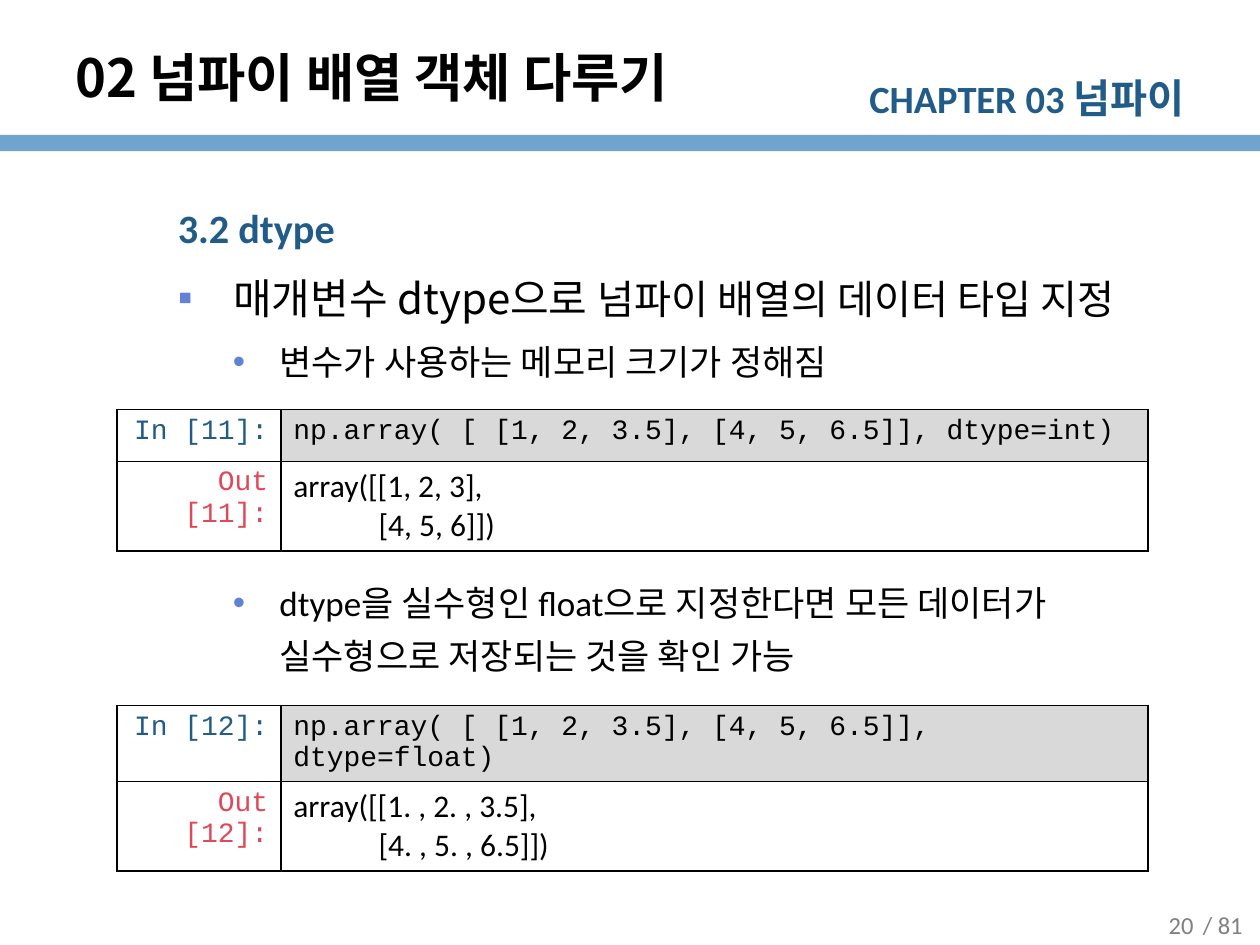
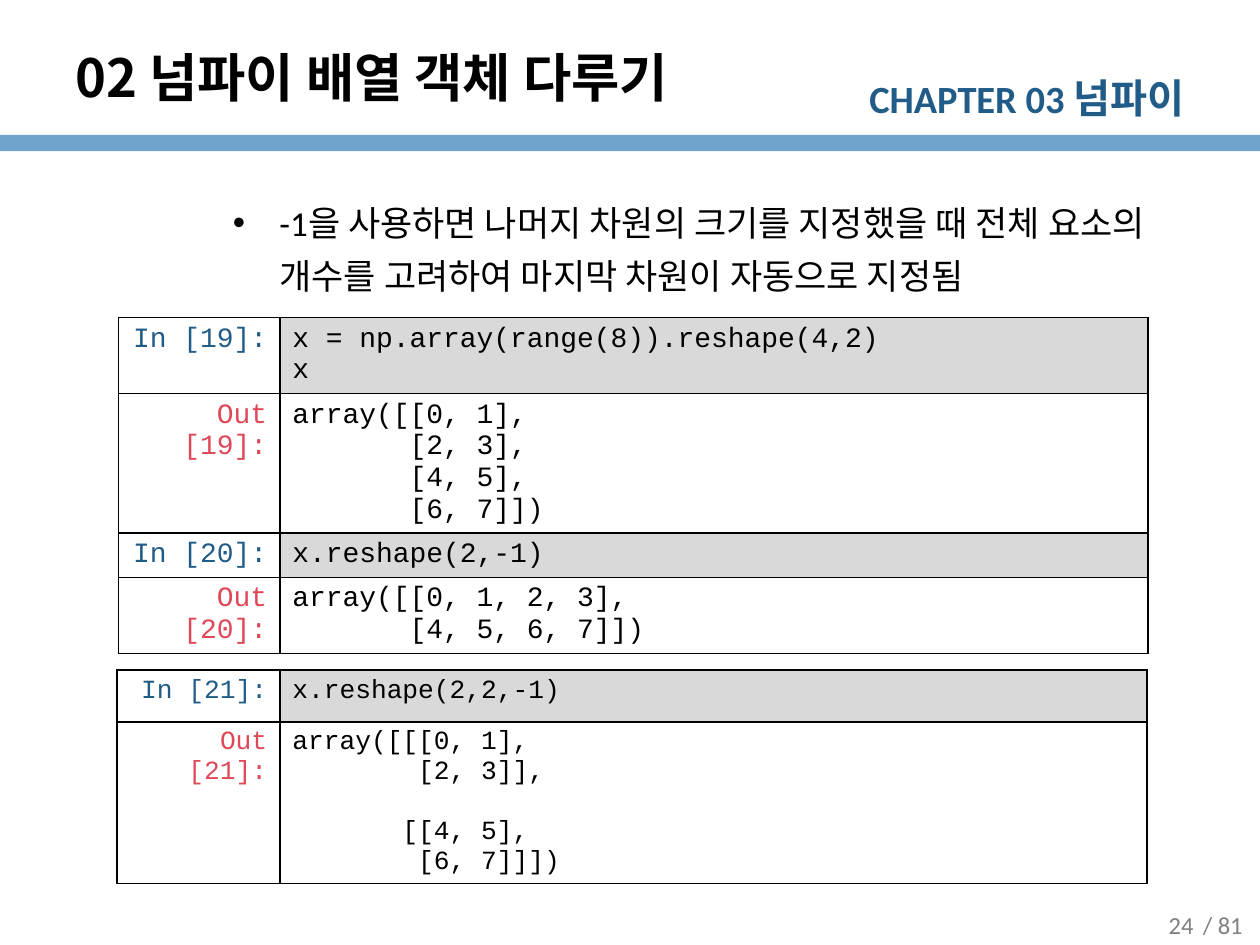
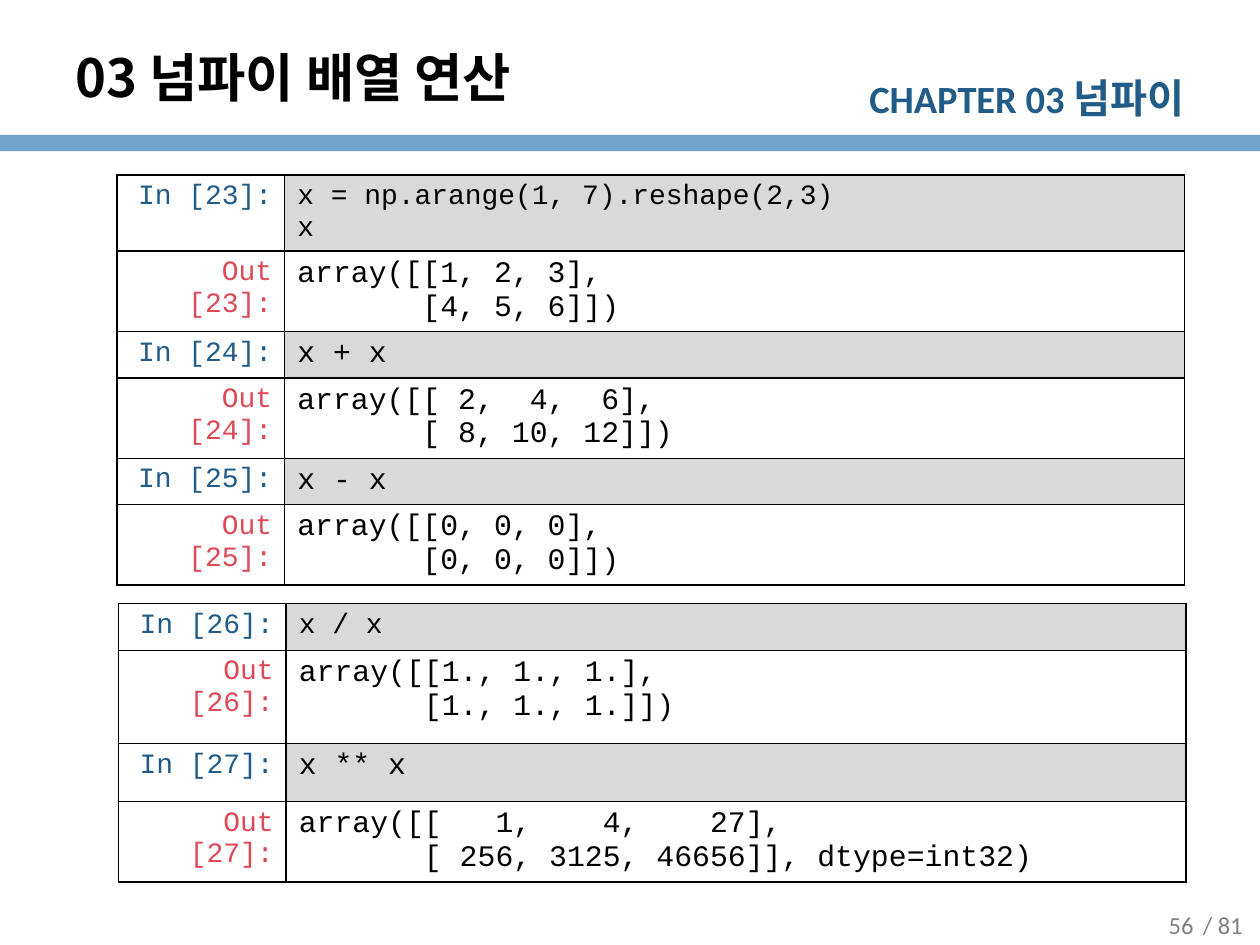
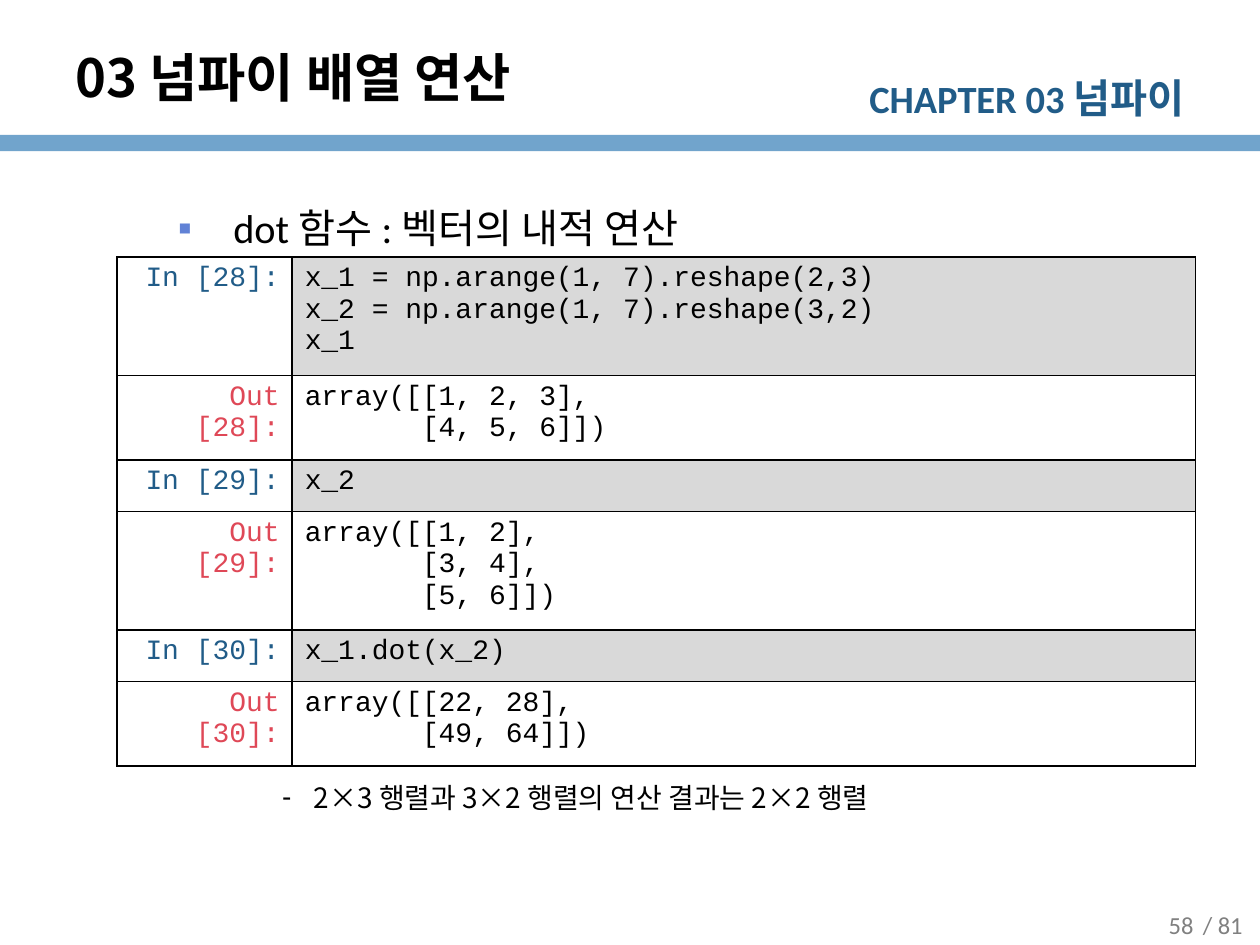
from dataclasses import dataclass

from lxml.etree import SubElement
from pptx import Presentation
from pptx.dml.color import RGBColor
from pptx.enum.shapes import MSO_SHAPE as Preset
from pptx.enum.text import MSO_ANCHOR as Anchor, MSO_AUTO_SIZE as AutoSize, PP_ALIGN as Align
from pptx.oxml.ns import qn
from pptx.util import Cm, Pt

COLORS = {
    "text": "000000",
    "band": "71A4CC",
    "accent": "215C88",
    "bullet": "6182D6",
    "result": "DF4857",
    "source": "D9D9D9",
    "footer": "808080",
}
LATIN, KOREAN, MONO = "Calibri", "Noto Sans CJK KR", "Courier New"
TITLE_ONLY, TITLE_BODY = 5, 1
TITLE_BOX = (1.27, 0.76, 19.89, 1.57)
BODY_BOX = (1.27, 3.73, 22.86, 14.33)
CHAPTER_BOX = (16.81, 1.35, 7.32, 1.22)
NUMBER_BOX = (22.91, 18.14, 1.8, 0.99)
TOTAL_BOX = (23.75, 18.14, 1.8, 0.99)
NOTE_BOX = (1.63, 15.44, 19.56, 0.81)
BAND_BOX = (0, 2.72, 25.4, 0.33)

BULLETS = {
    "heading": dict(level=1, left=2.06, hang=0, mark=None, color=None),
    "square": dict(level=1, left=3.18, hang=1.12, mark="▪", color="bullet"),
    "dot": dict(level=2, left=4.11, hang=0.94, mark="•", color="bullet"),
    "black dot": dict(level=2, left=4.11, hang=0.94, mark="•", color="text"),
    "dash": dict(level=3, left=4.45, hang=0.64, mark="‐", color="text"),
}


@dataclass
class Cell:
    """One notebook cell: its source, its result and their row heights."""
    number: int
    source: str
    result: str
    heights: tuple
    source_size: int = 16
    result_size: int = 16
    result_font: str = MONO


def rgb(name):
    """Return the named colour."""
    return RGBColor.from_string(COLORS[name])


def lengths(box):
    """Turn a box in centimetres into lengths."""
    return [Cm(value) for value in box]


def add_span(para, text, size, font=LATIN, color="text", bold=False):
    """Add a formatted run of text."""
    span = para.add_run()
    span.text = text
    for key, value in dict(size=Pt(size), name=font, bold=bold).items():
        setattr(span.font, key, value)
    span.font.color.rgb = rgb(color)
    SubElement(span.font._element, qn("a:ea"), typeface=KOREAN)


def prepare_frame(shape, anchor=Anchor.TOP):
    """Make the text of a shape wrap at a fixed size."""
    frame = shape.text_frame
    for key, value in dict(word_wrap=True, auto_size=AutoSize.NONE, vertical_anchor=anchor).items():
        setattr(frame, key, value)
    return frame


def place(shape, box):
    """Move a shape to its box."""
    for key, value in zip(("left", "top", "width", "height"), lengths(box)):
        setattr(shape, key, value)


def add_label(page, box, spans, align, anchor=Anchor.TOP):
    """Add a one-line text box made of spans."""
    para = prepare_frame(page.shapes.add_textbox(*lengths(box)), anchor).paragraphs[0]
    para.alignment = align
    for text, form in spans:
        add_span(para, text, **form)


def set_bullet(para, level, left, hang, mark, color):
    """Give a paragraph its level, indents and bullet."""
    para.level = level
    props = para._p.get_or_add_pPr()
    props.set("marL", str(Cm(left)))
    props.set("indent", str(-Cm(hang)))
    if mark is None:
        SubElement(props, qn("a:buNone"))
        return
    SubElement(SubElement(props, qn("a:buClr")), qn("a:srgbClr"), val=COLORS[color])
    SubElement(props, qn("a:buFont"), typeface="Arial")
    SubElement(props, qn("a:buChar"), char=mark)


def fill_list(frame, items):
    """Fill a frame with items of bullet kind, space before and spans."""
    for index, (kind, gap, spans) in enumerate(items):
        para = frame.add_paragraph() if index else frame.paragraphs[0]
        set_bullet(para, **BULLETS[kind])
        for key, value in dict(line_spacing=1.25, space_before=Pt(gap), alignment=Align.LEFT).items():
            setattr(para, key, value)
        for text, form in spans:
            add_span(para, text, **form)


def add_header(page, title):
    """Add the title, the chapter name and the band."""
    place(page.shapes.title, TITLE_BOX)
    para = prepare_frame(page.shapes.title, Anchor.MIDDLE).paragraphs[0]
    para.alignment = Align.LEFT
    add_span(para, title, 30, KOREAN, bold=True)
    band = page.shapes.add_shape(Preset.RECTANGLE, *lengths(BAND_BOX))
    band.shadow.inherit = False
    band.fill.solid()
    band.fill.fore_color.rgb = rgb("band")
    band.line.fill.background()
    chapter = dict(color="accent", bold=True)
    add_label(page, CHAPTER_BOX, [("CHAPTER 03 ", dict(size=22, **chapter)),
                                  ("넘파이", dict(size=23, **chapter))], Align.RIGHT)


def add_footer(page, number):
    """Add the page number and the page total."""
    for box, text in ((TOTAL_BOX, "/ 81"), (NUMBER_BOX, str(number))):
        add_label(page, box, [(text, dict(size=14, color="footer"))], Align.CENTER, Anchor.MIDDLE)


def add_page(deck, title, number, items=None):
    """Add a page with its shared parts and an optional list."""
    page = deck.slides.add_slide(deck.slide_layouts[TITLE_BODY if items else TITLE_ONLY])
    add_header(page, title)
    add_footer(page, number)
    if items:
        body = page.placeholders[1]
        place(body, BODY_BOX)
        fill_list(prepare_frame(body), items)
    return page


def format_cell(cell, text, fill=None, align=Align.LEFT, **form):
    """Write lines into a table cell and give it borders and a fill."""
    props = cell._tc.get_or_add_tcPr()
    for side in ("lnL", "lnR", "lnT", "lnB"):
        line = SubElement(props, qn(f"a:{side}"), w=str(Pt(1)))
        SubElement(SubElement(line, qn("a:solidFill")), qn("a:srgbClr"), val=COLORS["text"])
    if fill:
        cell.fill.solid()
        cell.fill.fore_color.rgb = rgb(fill)
    else:
        cell.fill.background()
    for index, line in enumerate(text.split("\n")):
        para = cell.text_frame.add_paragraph() if index else cell.text_frame.paragraphs[0]
        para.alignment = align
        add_span(para, line, **form)


def add_notebook(page, left, top, columns, cells, label_size=16):
    """Add a table with a source row and a result row for each cell."""
    heights = [height for cell in cells for height in cell.heights]
    box = (left, top, sum(columns), sum(heights))
    table = page.shapes.add_table(len(heights), 2, *lengths(box)).table
    table.first_row = table.horz_banding = False
    for column, width in zip(table.columns, columns):
        column.width = Cm(width)
    for row, height in zip(table.rows, heights):
        row.height = Cm(height)
    label = dict(align=Align.RIGHT, size=label_size, font=MONO)
    for index, cell in enumerate(cells):
        top_row, low_row = 2 * index, 2 * index + 1
        format_cell(table.cell(top_row, 0), f"In [{cell.number}]:", color="accent", **label)
        format_cell(table.cell(low_row, 0), f"Out [{cell.number}]:", color="result", **label)
        format_cell(table.cell(top_row, 1), cell.source, "source", size=cell.source_size, font=MONO)
        format_cell(table.cell(low_row, 1), cell.result, size=cell.result_size, font=cell.result_font)


def build_dtype(deck):
    """Build the page on the dtype parameter."""
    point = dict(size=20)
    page = add_page(deck, "02 넘파이 배열 객체 다루기", 20, [
        ("heading", 0, [("3.2 dtype", dict(size=23, color="accent", bold=True))]),
        ("square", 4.6, [("매개변수 dtype으로 ", dict(size=24, font=KOREAN)),
                         ("넘파이 배열의 데이터 타입 지정", dict(size=23))]),
        ("dot", 4, [("변수가 사용하는 메모리 크기가 정해짐", point)]),
        ("dot", 108, [("dtype을 실수형인 float으로 지정한다면 모든 데이터가 "
                       "실수형으로 저장되는 것을 확인 가능", point)]),
    ])
    results = {
        "int": (11, 8.26, "array([[1, 2, 3],\n            [4, 5, 6]])"),
        "float": (12, 14.22, "array([[1. , 2. , 3.5],\n            [4. , 5. , 6.5]])"),
    }
    for kind, (number, top, result) in results.items():
        source = f"np.array( [ [1, 2, 3.5], [4, 5, 6.5]], dtype={kind})"
        cell = Cell(number, source, result, (1.04, 0.86), result_size=18, result_font=LATIN)
        add_notebook(page, 2.36, top, (3.3, 17.48), [cell])


def build_reshape(deck):
    """Build the page on reshape with -1."""
    page = add_page(deck, "02 넘파이 배열 객체 다루기", 24, [
        ("black dot", 0, [("-1을 사용하면 나머지 차원의 크기를 지정했을 때 전체 요소의 "
                           "개수를 고려하여 마지막 차원이 자동으로 지정됨", dict(size=20))]),
    ])
    add_notebook(page, 2.39, 6.4, (3.25, 17.5), [
        Cell(19, "x = np.array(range(8)).reshape(4,2)\nx",
             "array([[0, 1],\n       [2, 3],\n       [4, 5],\n       [6, 7]])", (1.42, 2.69)),
        Cell(20, "x.reshape(2,-1)",
             "array([[0, 1, 2, 3],\n       [4, 5, 6, 7]])", (0.84, 1.5)),
    ])
    add_notebook(page, 2.36, 13.51, (3.28, 17.48), [
        Cell(21, "x.reshape(2,2,-1)",
             "array([[[0, 1],\n        [2, 3]],\n\n       [[4, 5],\n        [6, 7]]])",
             (1.04, 3.05), 15, 15),
    ], label_size=15)


def build_arithmetic(deck):
    """Build the page on element-wise arithmetic."""
    page = add_page(deck, "03 넘파이 배열 연산", 56)
    columns = (3.38, 18.14)
    add_notebook(page, 2.36, 3.53, columns, [
        Cell(23, "x = np.arange(1, 7).reshape(2,3)\nx",
             "array([[1, 2, 3],\n       [4, 5, 6]])", (1.35, 1.57), 16, 17),
        Cell(24, "x + x", "array([[ 2,  4,  6],\n       [ 8, 10, 12]])", (0.86, 1.57), 17, 17),
        Cell(25, "x - x", "array([[0, 0, 0],\n       [0, 0, 0]])", (0.86, 1.57), 17, 17),
    ])
    add_notebook(page, 2.39, 12.17, columns, [
        Cell(26, "x / x", "array([[1., 1., 1.],\n       [1., 1., 1.]])", (0.94, 1.88), 16, 17),
        Cell(27, "x ** x",
             "array([[   1,    4,    27],\n       [ 256, 3125, 46656]], dtype=int32)",
             (1.17, 1.17), 17, 17),
    ])


def build_dot(deck):
    """Build the page on the dot function."""
    page = add_page(deck, "03 넘파이 배열 연산", 58, [
        ("square", 0, [("dot 함수 : 벡터의 내적 연산", dict(size=23))]),
    ])
    add_notebook(page, 2.36, 5.18, (3.53, 18.21), [
        Cell(28, "x_1 = np.arange(1, 7).reshape(2,3)\nx_2 = np.arange(1, 7).reshape(3,2)\nx_1",
             "array([[1, 2, 3],\n       [4, 5, 6]])", (2.39, 1.7)),
        Cell(29, "x_2", "array([[1, 2],\n       [3, 4],\n       [5, 6]])", (1.04, 2.39)),
        Cell(30, "x_1.dot(x_2)", "array([[22, 28],\n       [49, 64]])", (1.04, 1.7)),
    ])
    note = prepare_frame(page.shapes.add_textbox(*lengths(NOTE_BOX)))
    fill_list(note, [("dash", 0, [("2×3 행렬과 3×2 행렬의 연산 결과는 2×2 행렬",
                                   dict(size=16, font=KOREAN))])])


def main():
    """Build and save the deck."""
    deck = Presentation()
    deck.slide_width, deck.slide_height = Cm(25.4), Cm(19.05)
    for build in (build_dtype, build_reshape, build_arithmetic, build_dot):
        build(deck)
    deck.save("out.pptx")


if __name__ == "__main__":
    main()
